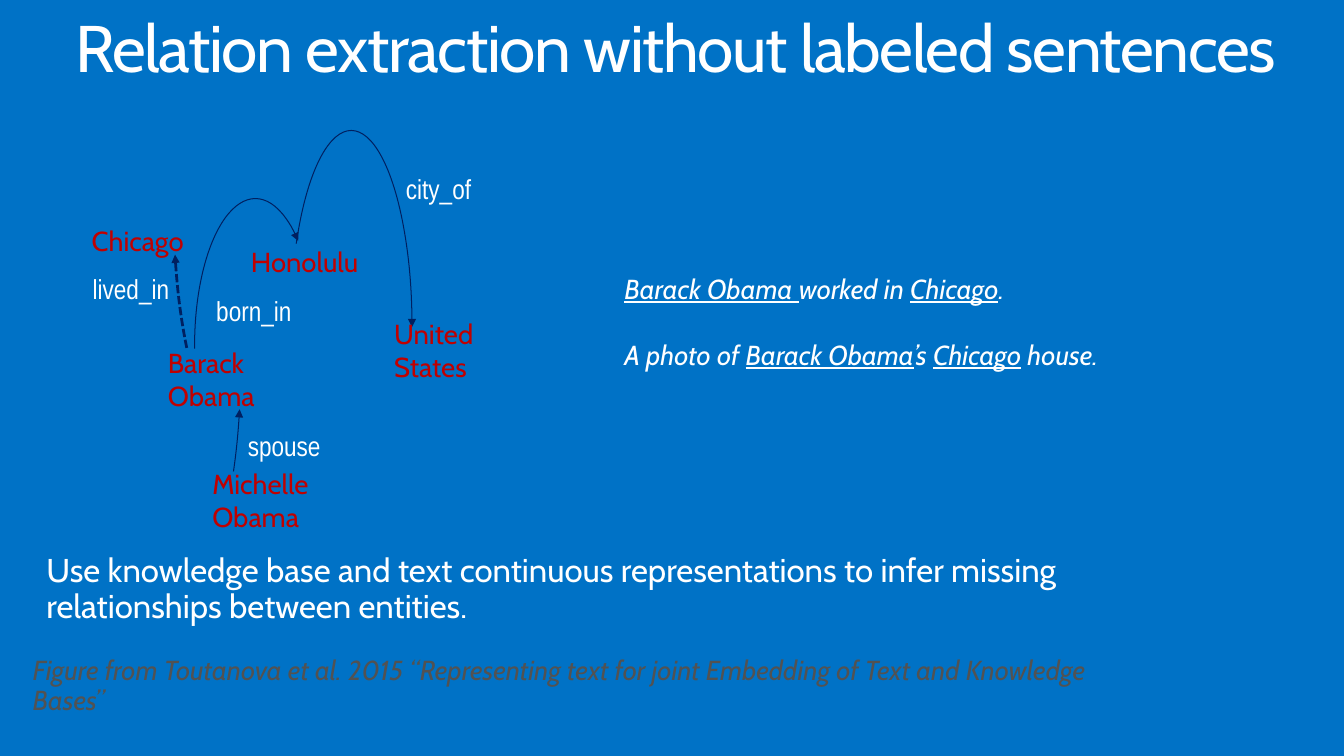
"""Builds the slide on relation extraction without labeled sentences."""
from dataclasses import dataclass
from typing import Optional

from pptx import Presentation
from pptx.dml.color import RGBColor
from pptx.enum.dml import MSO_LINE
from pptx.enum.shapes import MSO_SHAPE
from pptx.enum.text import MSO_ANCHOR, MSO_AUTO_SIZE, PP_ALIGN
from pptx.oxml.ns import qn
from pptx.slide import Slide
from pptx.text.text import TextFrame
from pptx.util import Inches, Pt


@dataclass(frozen=True)
class Theme:
    """Colours, fonts and type sizes of the slide."""
    background: RGBColor = RGBColor(0x00, 0x72, 0xC6)
    text: RGBColor = RGBColor(0xFF, 0xFF, 0xFF)
    entity: RGBColor = RGBColor(0xC0, 0x00, 0x00)
    citation: RGBColor = RGBColor(0x52, 0x52, 0x52)
    arc: RGBColor = RGBColor(0x00, 0x20, 0x60)
    font: str = "Cabin"
    relation_font: str = "Arial Narrow"
    title_size: float = 48
    body_size: float = 24
    label_size: float = 20


THEME = Theme()


@dataclass(frozen=True)
class Box:
    """Position and size in inches."""
    left: float
    top: float
    width: float
    height: float

    def emu(self) -> tuple:
        """Return the four lengths for python-pptx."""
        return tuple(Inches(v) for v in (self.left, self.top, self.width, self.height))


@dataclass(frozen=True)
class Style:
    """Look of a text."""
    color: RGBColor = THEME.text
    font: str = THEME.font
    size: float = THEME.label_size
    italic: bool = False


@dataclass(frozen=True)
class Label:
    """A one-paragraph text box."""
    text: str
    box: Box
    style: Style
    margins: tuple = (0.1, 0.05)
    line_spacing: Optional[float] = None


@dataclass(frozen=True)
class Arc:
    """A curved arrow between two entities."""
    box: Box
    start: float
    end: float
    flips: tuple = ()
    width: float = 0.75
    dashed: bool = False


ENTITY = Style(color=THEME.entity)
RELATION = Style(font=THEME.relation_font)
SENTENCE = Style(italic=True)
WIDE = (0.2, 0.16)

TITLE = Label("Relation extraction without labeled sentences", Box(0.6, 0.06, 13, 1),
              Style(size=THEME.title_size), (0.16, 0.1), 0.9)
LABELS = (
    Label("Chicago", Box(0.83, 2.22, 1.54, 0.44), ENTITY),
    Label("Barack Obama", Box(1.6, 3.45, 1.21, 0.77), ENTITY),
    Label("Honolulu", Box(2.44, 2.43, 1.45, 0.44), ENTITY),
    Label("United States", Box(3.89, 3.16, 1.12, 0.77), ENTITY),
    Label("Michelle Obama", Box(2.05, 4.68, 1.36, 0.77), ENTITY),
    Label("lived_in", Box(0.84, 2.7, 1.4, 0.44), RELATION),
    Label("spouse", Box(2.41, 4.29, 1.23, 0.44), RELATION),
    Label("city_of", Box(4.01, 1.69, 1.23, 0.44), RELATION),
    Label("born_in", Box(2.09, 2.93, 1.43, 0.44), RELATION),
    Label("Use knowledge base and text continuous representations to infer missing "
          "relationships between entities.",
          Box(0.27, 5.45, 11.48, 1.05), Style(size=THEME.body_size), WIDE, 0.9),
    Label("Figure from Toutanova et al. 2015 “Representing text for joint Embedding "
          "of Text and Knowledge Bases”",
          Box(0.13, 6.49, 11.48, 0.93), Style(color=THEME.citation, italic=True), WIDE, 0.9),
)
ARCS = (
    Arc(Box(1.97, 2.01, 1.23, 2.96), 105.85, 175.42),
    Arc(Box(2.94, 1.32, 1.23, 3.98), 141.96, 0),
    Arc(Box(1.21, 1.27, 1.23, 4.72), 177.16, 191.74, ("flipV",)),
    Arc(Box(1.76, -0.44, 1.7, 5.17), 178.57, 199.64, ("flipH", "flipV"), 2, True),
)
SENTENCES_BOX = Box(6.22, 2.7, 6.77, 1.11)
SENTENCES = (
    (("Barack Obama ", True), ("worked in ", False), ("Chicago", True), (".", False)),
    (("A photo of ", False), ("Barack Obama", True), ("’s ", False), ("Chicago", True),
     (" house.", False)),
)


def style_runs(tf: TextFrame, style: Style) -> None:
    """Apply a style to every run of a text frame."""
    for p in tf.paragraphs:
        for r in p.runs:
            r.font.name = style.font
            r.font.size = Pt(style.size)
            r.font.color.rgb = style.color
            r.font.italic = style.italic


def fill_label(tf: TextFrame, label: Label) -> None:
    """Write a label into a text frame."""
    tf.text = label.text
    tf.word_wrap = True
    tf.auto_size = MSO_AUTO_SIZE.NONE
    tf.vertical_anchor = MSO_ANCHOR.TOP
    side, edge = (Inches(m) for m in label.margins)
    tf.margin_left = tf.margin_right = side
    tf.margin_top = tf.margin_bottom = edge
    p = tf.paragraphs[0]
    p.alignment = PP_ALIGN.LEFT
    if label.line_spacing:
        p.line_spacing = label.line_spacing
    style_runs(tf, label.style)


def add_title(slide: Slide) -> None:
    """Place and format the title."""
    sp = slide.shapes.title
    sp.left, sp.top, sp.width, sp.height = TITLE.box.emu()
    fill_label(sp.text_frame, TITLE)
    sp.text_frame.paragraphs[0].runs[0].font._element.set("spc", "-100")


def add_arc(slide: Slide, arc: Arc) -> None:
    """Draw a curved arrow."""
    sp = slide.shapes.add_shape(MSO_SHAPE.ARC, *arc.box.emu())
    sp.adjustments[0], sp.adjustments[1] = arc.start, arc.end
    sp.shadow.inherit = False
    sp.fill.background()
    sp.line.color.rgb = THEME.arc
    sp.line.width = Pt(arc.width)
    if arc.dashed:
        sp.line.dash_style = MSO_LINE.SQUARE_DOT
    ln = sp.line._get_or_add_ln()
    ln.append(ln.makeelement(qn("a:tailEnd"), {"type": "triangle"}))
    for flip in arc.flips:
        sp._element.spPr.find(qn("a:xfrm")).set(flip, "1")


def add_sentences(slide: Slide) -> None:
    """Write the example sentences with underlined entities."""
    tf = slide.shapes.add_textbox(*SENTENCES_BOX.emu()).text_frame
    tf.word_wrap = True
    for i, sentence in enumerate(SENTENCES):
        p = tf.add_paragraph() if i else tf.paragraphs[0]
        if i:
            p.space_before = Pt(24)
        for text, underlined in sentence:
            r = p.add_run()
            r.text = text
            r.font.underline = underlined
    style_runs(tf, SENTENCE)


def main() -> None:
    """Build and save the slide."""
    prs = Presentation()
    prs.slide_width, prs.slide_height = Inches(13.6), Inches(7.65)
    slide = prs.slides.add_slide(prs.slide_layouts[5])
    slide.background.fill.solid()
    slide.background.fill.fore_color.rgb = THEME.background
    add_title(slide)
    for arc in ARCS:
        add_arc(slide, arc)
    for label in LABELS:
        fill_label(slide.shapes.add_textbox(*label.box.emu()).text_frame, label)
    add_sentences(slide)
    prs.save("out.pptx")


if __name__ == "__main__":
    main()
